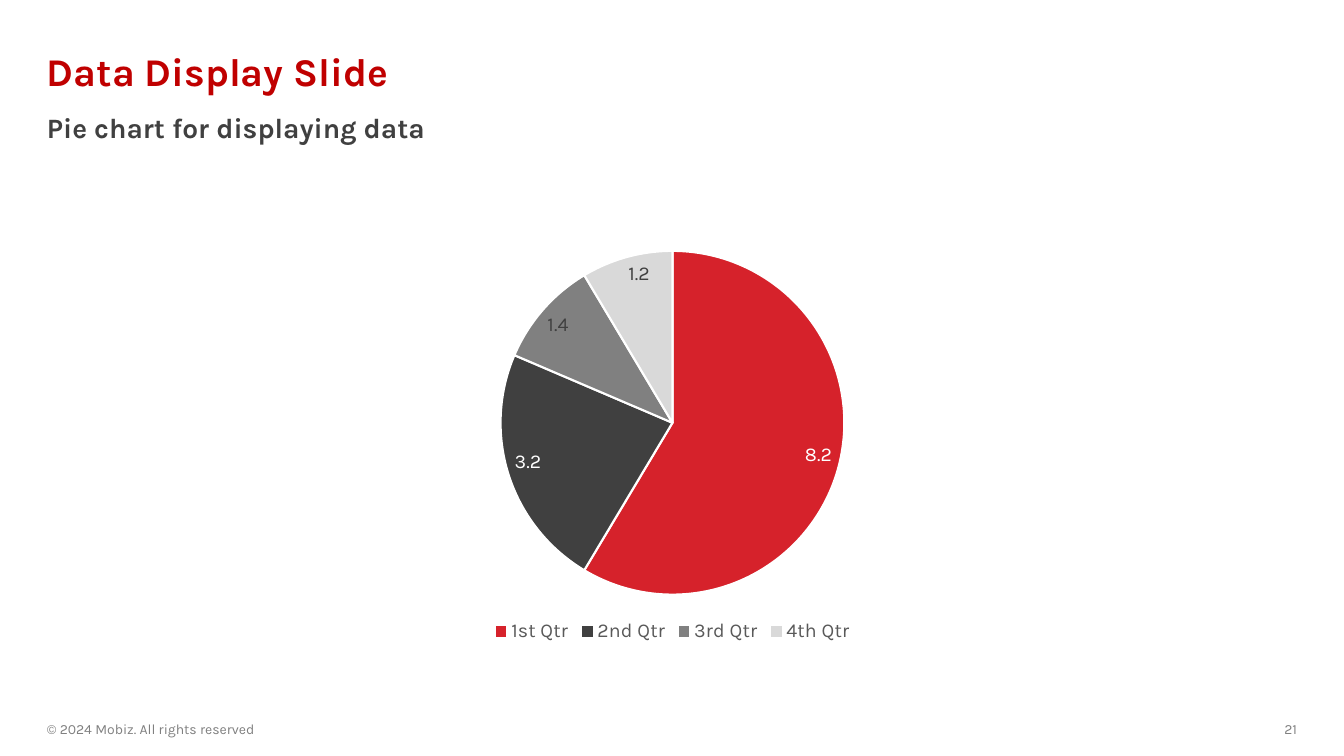
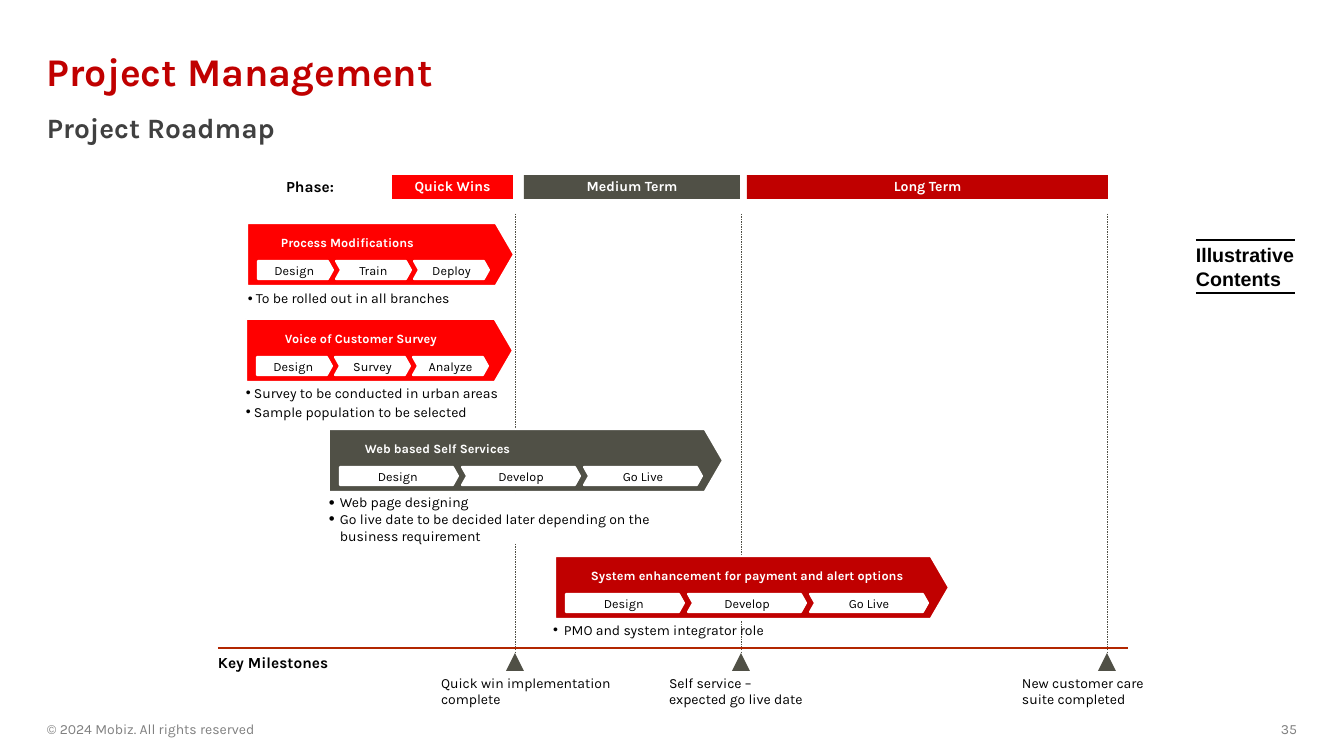
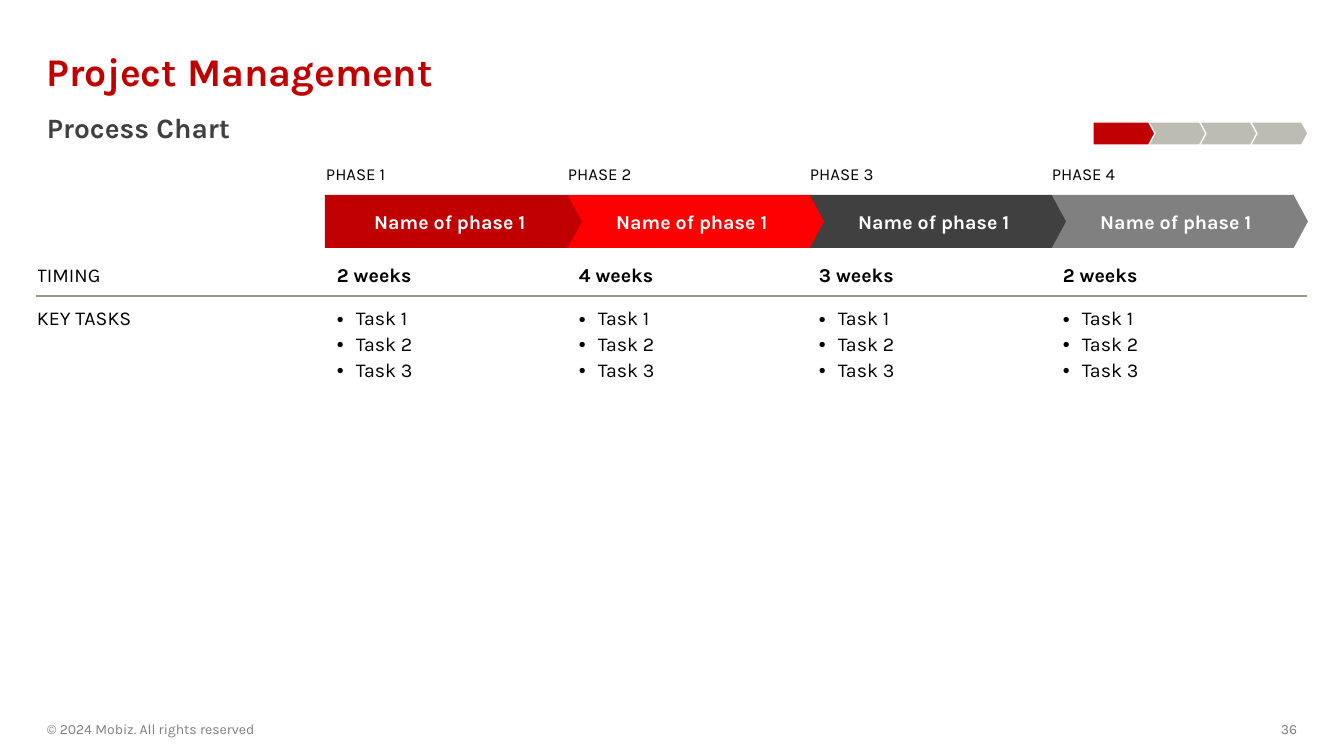
import pptx
import pptx.chart.data
import pptx.dml.color
import pptx.enum.chart
import pptx.enum.dml
import pptx.enum.shapes
import pptx.enum.text
import pptx.oxml.ns
import pptx.util
from lxml import etree

PX = 914400 / 100.8
RED, BRIGHT, OLIVE = "C00000", "FF0000", "505046"
DARK, GREY, WHITE, BLACK = "404040", "808080", "FFFFFF", "000000"
FONT = "Karla"
FLUSH = (0, 0, 0, 0)
PLATE = pptx.enum.shapes.MSO_SHAPE.PENTAGON
CHEVRON = pptx.enum.shapes.MSO_SHAPE.CHEVRON
RECTANGLE = pptx.enum.shapes.MSO_SHAPE.RECTANGLE
TRIANGLE = pptx.enum.shapes.MSO_SHAPE.ISOSCELES_TRIANGLE
LEFT = pptx.enum.text.PP_ALIGN.LEFT
CENTER = pptx.enum.text.PP_ALIGN.CENTER
RIGHT = pptx.enum.text.PP_ALIGN.RIGHT
TOP = pptx.enum.text.MSO_ANCHOR.TOP
MIDDLE = pptx.enum.text.MSO_ANCHOR.MIDDLE
ink = pptx.dml.color.RGBColor.from_string
qn = pptx.oxml.ns.qn


def place(slide, kind, bounds, fill=None, outline=0, tip=None):
    bounds = [round(length * PX) for length in bounds]
    if kind is None:
        return slide.shapes.add_textbox(*bounds)
    shape = slide.shapes.add_shape(kind, *bounds)
    shape.shadow.inherit = False
    shape.fill.solid()
    shape.fill.fore_color.rgb = ink(fill)
    if outline:
        shape.line.color.rgb = ink(WHITE)
        shape.line.width = pptx.util.Pt(outline)
    else:
        shape.line.fill.background()
    if tip:
        shape.adjustments[0] = tip
    return shape


def write(frame, lines, size, color=BLACK, bold=False, align=LEFT, anchor=TOP, inset=None,
          leading=None, gap=0, indent=0, bullet_size=100, font=FONT):
    frame.word_wrap = True
    frame.vertical_anchor = anchor
    if inset:
        (frame.margin_left, frame.margin_top, frame.margin_right,
         frame.margin_bottom) = [round(side * PX) for side in inset]
    frame.text = "\n".join(lines)
    for number, paragraph in enumerate(frame.paragraphs):
        if indent:
            properties = paragraph._p.get_or_add_pPr()
            properties.set("marL", str(round(indent * PX)))
            properties.set("indent", str(round(-indent * PX)))
            etree.SubElement(properties, qn("a:buSzPct"), val=str(bullet_size * 1000))
            etree.SubElement(properties, qn("a:buFont"), typeface="Arial")
            etree.SubElement(properties, qn("a:buChar"), char="•")
        paragraph.alignment = align
        if leading:
            paragraph.line_spacing = leading
        if gap and number:
            paragraph.space_before = pptx.util.Pt(gap)
        for run in paragraph.runs:
            run.font.name = font
            run.font.size = pptx.util.Pt(size)
            run.font.bold = bold
            run.font.color.rgb = ink(color)


deck = pptx.Presentation()
deck.slide_width = round(1344 * PX)
deck.slide_height = round(756 * PX)

slides = []
for title, subtitle, number in [
    ("Data Display Slide", "Pie chart for displaying data", "21"),
    ("Project Management", "Project Roadmap", "35"),
    ("Project Management", "Process Chart", "36"),
]:
    slide = deck.slides.add_slide(deck.slide_layouts[6])
    slides.append(slide)
    write(place(slide, None, (37, 40, 1270, 68)).text_frame, [title], 28, RED, True,
          anchor=MIDDLE, leading=0.9)
    write(place(slide, None, (37, 109, 1270, 47)).text_frame, [subtitle], 20, DARK, True,
          leading=0.9)
    write(place(slide, None, (37, 716, 454, 25)).text_frame,
          ["© 2024 Mobiz. All rights reserved"], 10, GREY, anchor=MIDDLE)
    write(place(slide, None, (1184, 716, 123, 25)).text_frame, [number], 10, GREY,
          align=RIGHT, anchor=MIDDLE)
data_slide, roadmap, process = slides

quarters = pptx.chart.data.CategoryChartData()
quarters.categories = ["1st Qtr", "2nd Qtr", "3rd Qtr", "4th Qtr"]
quarters.add_series("Series 1", (8.2, 3.2, 1.4, 1.2))
pie = data_slide.shapes.add_chart(
    pptx.enum.chart.XL_CHART_TYPE.PIE,
    *[round(length * PX) for length in (355, 237, 635, 410)], quarters).chart
pie.has_title = False
pie.font.name = FONT
pie.font.size = pptx.util.Pt(14)
pie.has_legend = True
pie.legend.position = pptx.enum.chart.XL_LEGEND_POSITION.BOTTOM
pie.legend.include_in_layout = False
pie.legend.font.name = FONT
pie.legend.font.size = pptx.util.Pt(14)
pie.legend.font.color.rgb = ink("595959")
pie.plots[0].vary_by_categories = True
for number, (slice_color, label_color) in enumerate(
        [("D6222B", WHITE), (DARK, WHITE), (GREY, DARK), ("D9D9D9", DARK)]):
    quarter = pie.plots[0].series[0].points[number]
    quarter.format.fill.solid()
    quarter.format.fill.fore_color.rgb = ink(slice_color)
    quarter.format.line.color.rgb = ink(WHITE)
    quarter.format.line.width = pptx.util.Pt(1.5)
    label = quarter.data_label
    label.font.name = FONT
    label.font.size = pptx.util.Pt(14)
    label.font.color.rgb = ink(label_color)
    label.position = pptx.enum.chart.XL_LABEL_POSITION.INSIDE_END

milestones = [
    (515, 441, 173, ["Quick win implementation complete"]),
    (741, 669, 149, ["Self service –", "expected go live date"]),
    (1107, 1022, 134, ["New customer care suite completed"]),
]
rules = [(x, 214, x, 653, OLIVE, 0.25) for x, *_ in milestones]
rules += [(218, 648, 1128, 648, "B22600", 1.5)]
rules += [(1196, y, 1295, y, BLACK, 1.5) for y in (240, 293)]
for *ends, color, weight in rules:
    rule = roadmap.shapes.add_connector(
        pptx.enum.shapes.MSO_CONNECTOR.STRAIGHT, *[round(end * PX) for end in ends])
    rule.line.color.rgb = ink(color)
    rule.line.width = pptx.util.Pt(weight)
    if weight < 1:
        rule.line.dash_style = pptx.enum.dml.MSO_LINE.DASH
    etree.SubElement(rule._element.spPr, qn("a:effectLst"))

for x, width, color, phase in [
    (392, 121, BRIGHT, "Quick Wins"),
    (524, 216, OLIVE, "Medium Term"),
    (747, 361, RED, "Long Term"),
]:
    write(place(roadmap, RECTANGLE, (x, 175, width, 24), color).text_frame, [phase], 10, WHITE,
          True, CENTER, MIDDLE, leading=0.8)

for x, y, width, caption in [(286, 177, 79, "Phase:"), (218, 653, 163, "Key Milestones")]:
    write(place(roadmap, None, (x, y, width, 19)).text_frame, [caption], 11, bold=True,
          inset=FLUSH)

for x, caption_x, caption_width, caption in milestones:
    place(roadmap, TRIANGLE, (x - 9, 653, 18, 18), OLIVE)
    write(place(roadmap, None, (caption_x, 674, caption_width, 34)).text_frame, caption, 10,
          inset=FLUSH)

for bounds, fill, notes, indent, gap, bullet_size in [
    ((248, 290, 300, 17), None, ["To be rolled out in all branches"], 8, 2, 100),
    ((246, 384, 300, 36), None,
     ["Survey to be conducted in urban areas", "Sample population to be selected"], 8, 2, 100),
    ((329, 494, 354, 50), WHITE,
     ["Web page designing",
      "Go live date to be decided later depending on the business requirement"], 11, 0, 120),
    ((553, 621, 383, 34), None, ["PMO and system integrator role"], 11, 0, 100),
]:
    write(place(roadmap, RECTANGLE if fill else None, bounds, fill).text_frame, notes, 10,
          inset=FLUSH, gap=gap, indent=indent, bullet_size=bullet_size)

for x, y, width, color, indent, project, step, pitch, stages in [
    (247, 223, 267, BRIGHT, 34, "Process Modifications", 75, 78, ["Design", "Train", "Deploy"]),
    (246, 319, 267, BRIGHT, 39, "Voice of Customer Survey", 75, 78,
     ["Design", "Survey", "Analyze"]),
    (329, 429, 394, OLIVE, 36, "Web based Self Services", 118, 122,
     ["Design", "Develop", "Go Live"]),
    (555, 556, 394, RED, 36, "System enhancement for payment and alert options", 118, 122,
     ["Design", "Develop", "Go Live"]),
]:
    place(roadmap, PLATE, (x, y, width, 63), color, 1.5, 0.29)
    write(place(roadmap, None, (x + indent, y + 12, width - 40, 15)).text_frame, [project], 9,
          WHITE, True, inset=FLUSH)
    for number, stage in enumerate(stages):
        arrow = place(roadmap, CHEVRON if number else PLATE,
                      (x + 11 + number * pitch, y + 38, step, 18), WHITE, 1.5, 0.28)
        write(arrow.text_frame, [stage], 9, align=CENTER, anchor=MIDDLE, inset=FLUSH)

write(place(roadmap, None, (1196, 243, 102, 47)).text_frame, ["Illustrative", "Contents"], 14,
      bold=True, anchor=MIDDLE, inset=FLUSH, font="Arial")

phase_colors = [RED, BRIGHT, DARK, GREY]
for number in reversed(range(4)):
    x = 325 + 242 * number
    phase = place(process, PLATE, (x, 195, 257, 53), phase_colors[number], tip=0.27)
    write(phase.text_frame, ["Name of phase 1"], 14, WHITE, True, CENTER, MIDDLE,
          (16, 8, 16, 8))
    write(place(process, None, (x + 1, 164, 242, 30)).text_frame, [f"PHASE {number + 1}"], 12,
          inset=FLUSH)
    place(process, PLATE, (1093 + 51 * number, 122, 62, 23),
          "BCBCB2" if number else RED, 1, 0.27)

plan = process.shapes.add_table(
    2, 5, *[round(length * PX) for length in (37, 255, 1270, 413)]).table
plan.first_row = False
plan.horz_banding = False
for column, width in zip(plan.columns, (290, 242, 240, 244, 254)):
    column.width = round(width * PX)
for row, height in zip(plan.rows, (41, 372)):
    row.height = round(height * PX)

tasks = ["Task 1", "Task 2", "Task 3"]
content = [
    [["TIMING"], ["2 weeks"], ["4 weeks"], ["3 weeks"], ["2 weeks"]],
    [["KEY TASKS"]] + [tasks] * 4,
]
for row, entries in enumerate(content):
    for column, lines in enumerate(entries):
        cell = plan.cell(row, column)
        cell.fill.background()
        cell.vertical_anchor = TOP if row else MIDDLE
        cell.margin_left = round(10 * PX) if column else 0
        cell.margin_top = round((12 if row else 5) * PX)
        write(cell.text_frame, lines, 14, bold=column > 0 and row == 0, gap=2,
              indent=19 if row and column else 0)
        edge = etree.Element(qn("a:lnT" if row else "a:lnB"), w="12700")
        paint = etree.SubElement(edge, qn("a:solidFill"))
        etree.SubElement(paint, qn("a:srgbClr"), val="9A9A8C")
        cell._tc.get_or_add_tcPr().insert(0, edge)

deck.save("out.pptx")
